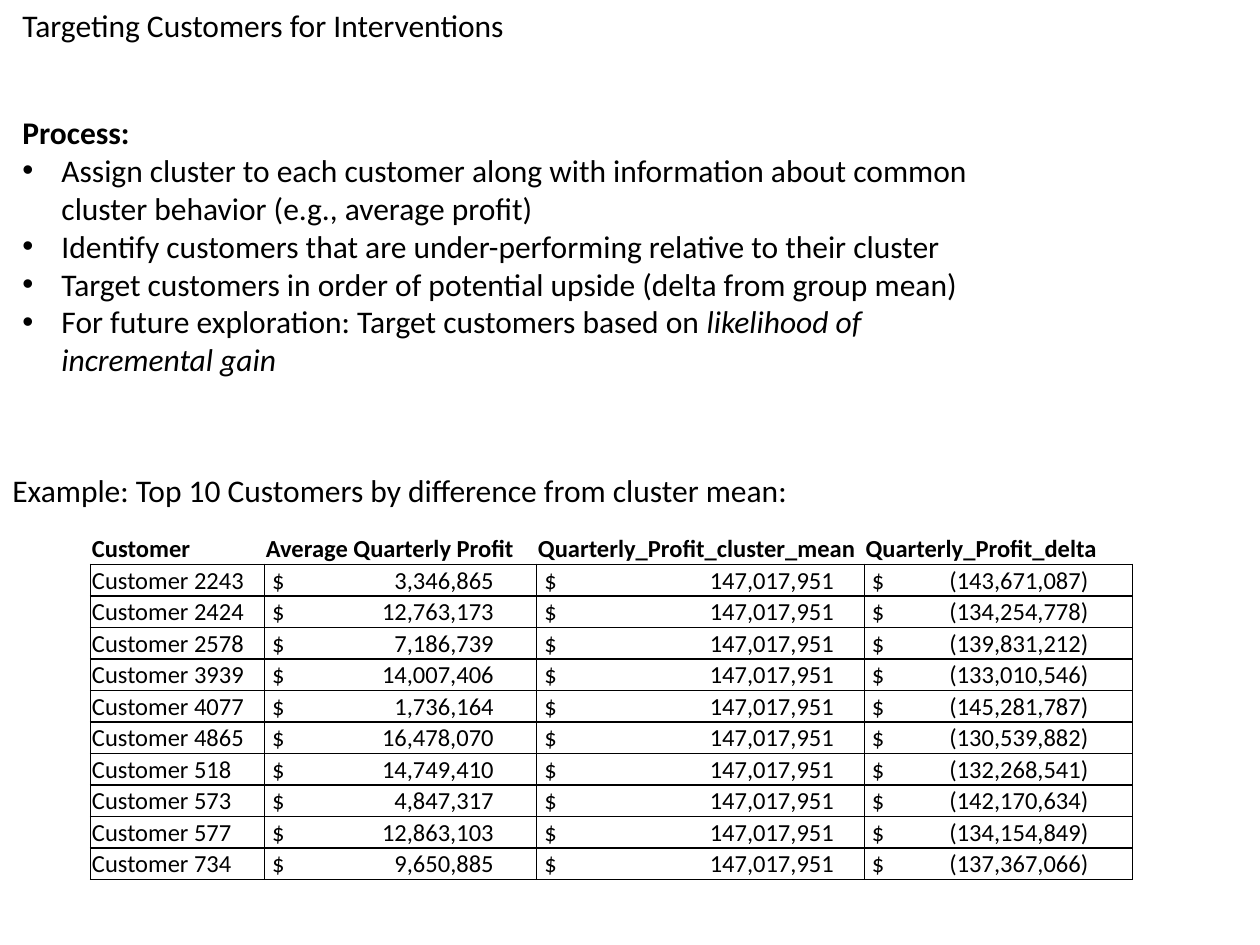
"""Build the customer targeting slide with its process list and top ten table."""
from lxml import etree
from pptx import Presentation
from pptx import util as u
from pptx.dml.color import RGBColor
from pptx.enum import text
from pptx.oxml import ns

BLACK = RGBColor(0x00, 0x00, 0x00)
WHITE = RGBColor(0xFF, 0xFF, 0xFF)
FONT = "Calibri"

TITLE = "Targeting Customers for Interventions"
PROCESS_HEADING = "Process:"
PROCESS_STEPS = [
    "Assign cluster to each customer along with information about common "
    "cluster behavior (e.g., average profit)",
    "Identify customers that are under-performing relative to their cluster",
    "Target customers in order of potential upside (delta from group mean)",
    "For future exploration: Target customers based on ",
]
EMPHASIS = "likelihood of incremental gain"
EXAMPLE = "Example: Top 10 Customers by difference from cluster mean:"

HEADERS = ["Customer", "Average Quarterly Profit",
           "Quarterly_Profit_cluster_mean", "Quarterly_Profit_delta"]
CLUSTER_MEAN = "147,017,951"
CUSTOMERS = [
    (2243, "3,346,865", "(143,671,087)"),
    (2424, "12,763,173", "(134,254,778)"),
    (2578, "7,186,739", "(139,831,212)"),
    (3939, "14,007,406", "(133,010,546)"),
    (4077, "1,736,164", "(145,281,787)"),
    (4865, "16,478,070", "(130,539,882)"),
    (518, "14,749,410", "(132,268,541)"),
    (573, "4,847,317", "(142,170,634)"),
    (577, "12,863,103", "(134,154,849)"),
    (734, "9,650,885", "(137,367,066)"),
]
COLUMN_WIDTHS = [1.38, 2.16, 2.6, 2.13]
AMOUNT_STOPS = [None, 1.76, 2.3, 1.72]
ROW_HEIGHT = 0.25


def format_runs(paragraph, size, bold=False):
    for run in paragraph.runs:
        run.font.name = FONT
        run.font.size = u.Pt(size)
        run.font.bold = bold
        run.font.color.rgb = BLACK


def add_text(slide, left, top, width, height, content):
    box = slide.shapes.add_textbox(*map(u.Inches, (left, top, width, height)))
    frame = box.text_frame
    frame.word_wrap = True
    frame.text = content
    format_runs(frame.paragraphs[0], 18)
    return frame


def add_child(parent, tag, **attributes):
    child = etree.SubElement(parent, ns.qn(tag))
    for name, value in attributes.items():
        child.set(name, str(value))
    return child


def add_bullet(paragraph):
    properties = paragraph._p.get_or_add_pPr()
    indent = u.Inches(0.31)
    properties.set("marL", str(indent))
    properties.set("indent", str(-indent))
    add_child(properties, "a:buFont", typeface="Arial")
    add_child(properties, "a:buChar", char="•")


def add_right_tab(paragraph, position):
    tabs = add_child(paragraph._p.get_or_add_pPr(), "a:tabLst")
    add_child(tabs, "a:tab", pos=u.Inches(position), algn="r")


def set_borders(cell, is_header):
    properties = cell._tc.get_or_add_tcPr()
    for side in "LRTB":
        color = WHITE if is_header and side != "B" else BLACK
        line = add_child(properties, f"a:ln{side}", w=u.Pt(1))
        fill = add_child(line, "a:solidFill")
        add_child(fill, "a:srgbClr", val=color)


def fill_cell(cell, content, stop, is_header):
    is_amount = stop is not None and not is_header
    cell.margin_left = u.Inches(0.06 if is_amount else 0.01)
    cell.margin_right = cell.margin_top = u.Inches(0.01)
    cell.margin_bottom = 0
    cell.vertical_anchor = text.MSO_ANCHOR.BOTTOM
    set_borders(cell, is_header)
    cell.fill.background()
    cell.text_frame.text = content
    paragraph = cell.text_frame.paragraphs[0]
    if is_amount:
        add_right_tab(paragraph, stop)
    format_runs(paragraph, 14, is_header)


def add_customer_table(slide):
    rows = [HEADERS] + [
        [f"Customer {number}", f"$\t{profit}", f"$\t{CLUSTER_MEAN}", f"$\t{delta}"]
        for number, profit, delta in CUSTOMERS
    ]
    table = slide.shapes.add_table(
        len(rows), len(HEADERS), u.Inches(0.72), u.Inches(4.23),
        u.Inches(sum(COLUMN_WIDTHS)), u.Inches(ROW_HEIGHT * len(rows))).table
    table.horz_banding = False
    for column, width in zip(table.columns, COLUMN_WIDTHS):
        column.width = u.Inches(width)
    for row_index, row in enumerate(rows):
        table.rows[row_index].height = u.Inches(ROW_HEIGHT)
        for column_index, content in enumerate(row):
            fill_cell(table.cell(row_index, column_index), content,
                      AMOUNT_STOPS[column_index], row_index == 0)


def add_process(slide):
    frame = add_text(slide, 0.08, 0.85, 7.8, 2.22, PROCESS_HEADING)
    format_runs(frame.paragraphs[0], 18, True)
    for step in PROCESS_STEPS:
        paragraph = frame.add_paragraph()
        paragraph.text = step
        add_bullet(paragraph)
        format_runs(paragraph, 18)
    emphasis = paragraph.add_run()
    emphasis.text = EMPHASIS
    emphasis.font.italic = True
    format_runs(paragraph, 18)


def main():
    presentation = Presentation()
    presentation.slide_width = u.Inches(10)
    presentation.slide_height = u.Inches(7.5)
    slide = presentation.slides.add_slide(presentation.slide_layouts[6])
    add_customer_table(slide)
    add_text(slide, 0.08, 0, 6.42, 0.4, TITLE)
    add_process(slide)
    add_text(slide, 0, 3.69, 7.8, 0.4, EXAMPLE)
    presentation.save("out.pptx")


if __name__ == "__main__":
    main()
